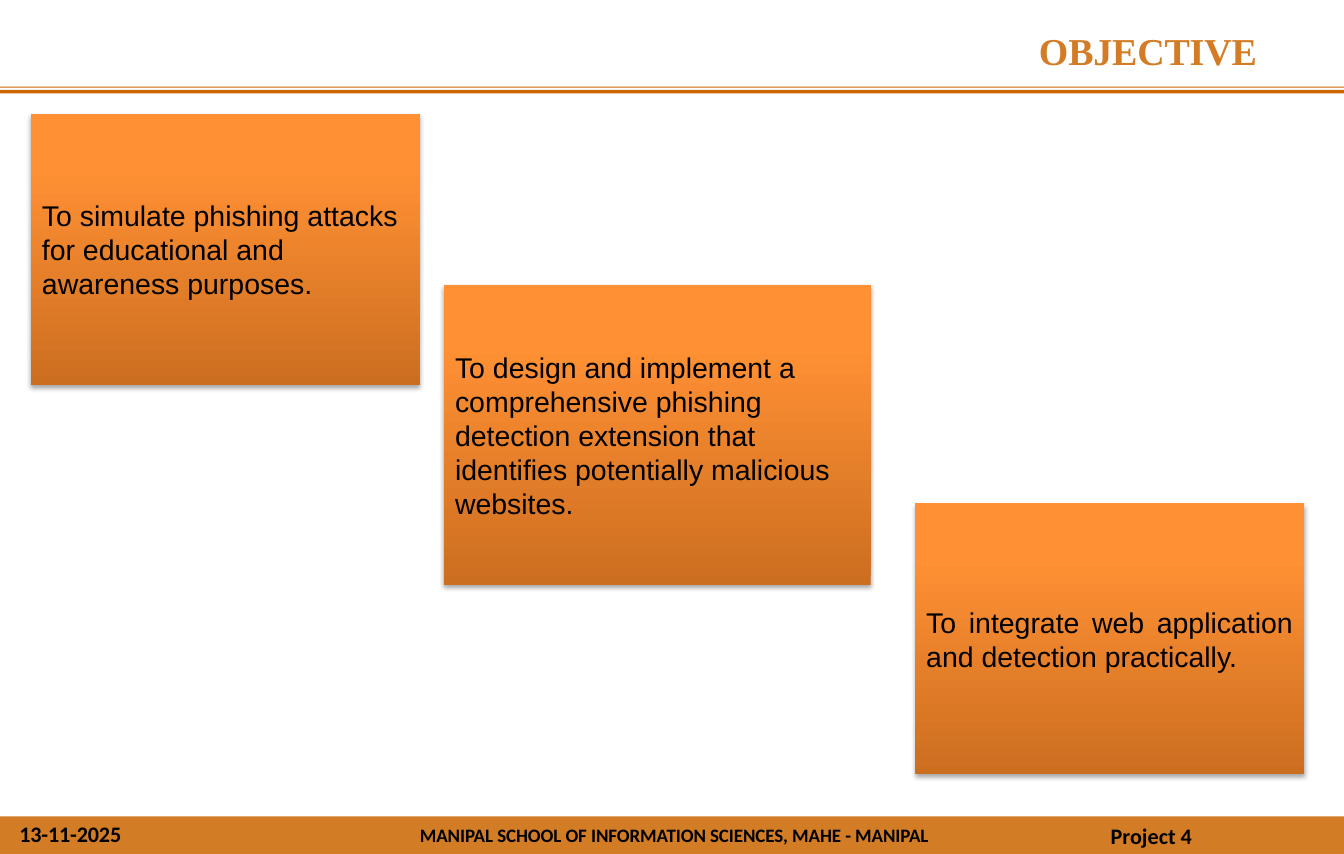
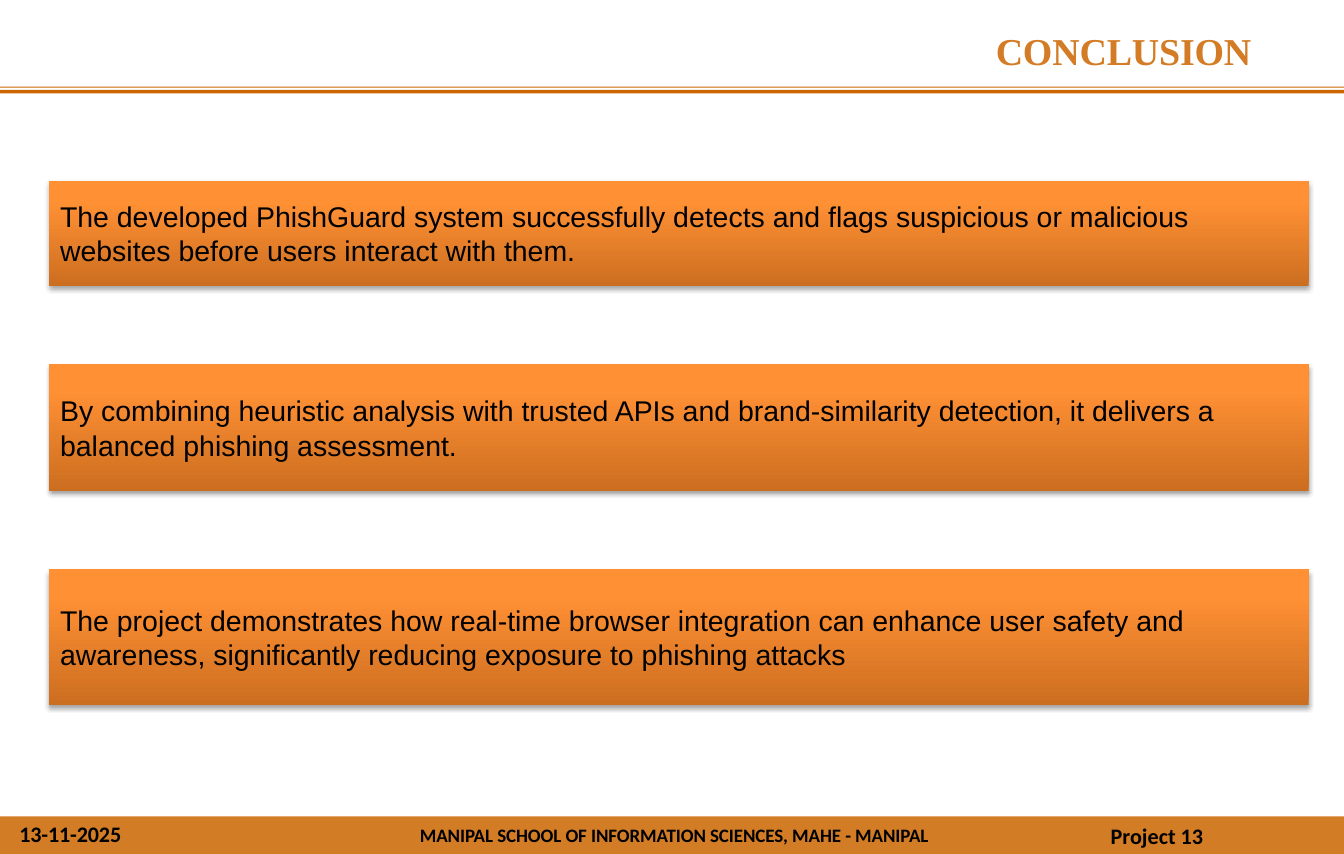
from dataclasses import dataclass

from lxml import etree
from pptx import Presentation
from pptx.dml.color import RGBColor
from pptx.enum.shapes import MSO_SHAPE
from pptx.enum.text import MSO_ANCHOR, PP_ALIGN
from pptx.oxml.ns import qn
from pptx.shapes.autoshape import Shape
from pptx.slide import Slide
from pptx.util import Inches, Pt

RECT = MSO_SHAPE.RECTANGLE
TOP, MIDDLE = MSO_ANCHOR.TOP, MSO_ANCHOR.MIDDLE
LEFT, JUSTIFY = PP_ALIGN.LEFT, PP_ALIGN.JUSTIFY

RUST = RGBColor(0xCC, 0x66, 0x00)
TITLE = RGBColor(0xD3, 0x7C, 0x25)
BLACK = RGBColor(0x00, 0x00, 0x00)
DARK = RGBColor(0xCC, 0x6E, 0x20)
LIGHT = RGBColor(0xFF, 0x90, 0x34)

WIDTH, HEIGHT = 11.81, 7.5
BAND_TOP = 7.17
TITLE_END, TITLE_INDENT = 11.17, 3.1
ROW_LEFT, ROW_WIDTH, ROW_TOP, ROW_GAP = 0.43, 11.07, 1.59, 0.69


@dataclass(frozen=True)
class Box:
    left: float
    top: float
    width: float
    height: float

    def place(self) -> tuple:
        return tuple(Inches(n) for n in (self.left, self.top, self.width, self.height))


@dataclass(frozen=True)
class Card:
    text: str
    box: Box
    align: PP_ALIGN = LEFT


@dataclass(frozen=True)
class Page:
    title: str
    title_left: float
    number: int
    cards: list[Card]


def write(shape: Shape, text: str, *, size: float, font: str, color: RGBColor = BLACK,
          bold: bool = False, align: PP_ALIGN = LEFT, anchor: MSO_ANCHOR = TOP,
          inset: tuple = (0.01, 0, 0, 0), leading: float | None = None,
          tracking: int = 0) -> None:
    """Fill a shape with one paragraph; tracking is in hundredths of a point."""
    frame = shape.text_frame
    frame.word_wrap = True
    frame.vertical_anchor = anchor
    (frame.margin_left, frame.margin_top,
     frame.margin_right, frame.margin_bottom) = (Inches(n) for n in inset)
    para = frame.paragraphs[0]
    para.alignment = align
    if leading:
        para.line_spacing = Pt(leading)
    run = para.add_run()
    run.text = text
    run.font.size = Pt(size)
    run.font.name = font
    run.font.bold = bold
    run.font.color.rgb = color
    if tracking:
        run.font._element.set("spc", str(tracking))


def label(slide: Slide, box: Box, text: str, **style) -> None:
    write(slide.shapes.add_textbox(*box.place()), text, **style)


def bar(slide: Slide, top: float, height: float, opacity: int = 100) -> None:
    """Draw a full-width band in the theme rust; opacity is in percent."""
    shape = slide.shapes.add_shape(RECT, *Box(0, top, WIDTH, height).place())
    shape.shadow.inherit = False
    shape.line.fill.background()
    shape.fill.solid()
    shape.fill.fore_color.rgb = RUST
    if opacity < 100:
        color = shape._element.spPr.find(".//" + qn("a:srgbClr"))
        etree.SubElement(color, qn("a:alpha"), val=str(opacity * 1000))


def shade(shape: Shape) -> None:
    """Add a soft shadow just below the shape."""
    shape.shadow.inherit = False
    effects = shape._element.spPr.find(qn("a:effectLst"))
    outer = etree.SubElement(effects, qn("a:outerShdw"), blurRad=str(Pt(3.1)),
                             dist=str(Pt(1.8)), dir="5400000", rotWithShape="0")
    color = etree.SubElement(outer, qn("a:srgbClr"), val=str(BLACK))
    etree.SubElement(color, qn("a:alpha"), val="35000")


def draw_card(slide: Slide, card: Card) -> None:
    shape = slide.shapes.add_shape(RECT, *card.box.place())
    shape.line.fill.background()
    shape.fill.gradient()
    shape.fill.gradient_angle = 90
    for stop, color, place in zip(shape.fill.gradient_stops, (DARK, LIGHT), (0, 0.8)):
        stop.color.rgb = color
        stop.position = place
    shade(shape)
    write(shape, card.text, size=18, font="Arial", align=card.align,
          anchor=MIDDLE, inset=(0.1, 0.05, 0.1, 0.05))


def draw_frame(slide: Slide, page: Page) -> None:
    """Draw the rules, title and footer that every slide has."""
    bar(slide, 0.76, 0.01)
    bar(slide, 0.79, 0.03)
    bar(slide, BAND_TOP, HEIGHT - BAND_TOP, opacity=85)
    label(slide, Box(page.title_left, 0.22, TITLE_END - page.title_left, 0.44),
          page.title, size=24, font="Times New Roman", color=TITLE, bold=True,
          inset=(TITLE_INDENT, 0.02, 0, 0), tracking=-10)
    foot = {"font": "Calibri", "bold": True}
    label(slide, Box(0.16, 7.24, 0.95, 0.21), "13-11-2025",
          size=14, leading=14.5, tracking=-10, **foot)
    label(slide, Box(9.75, 7.25, 0.86, 0.23), f"Project {page.number}",
          size=14, leading=14.5, **foot)
    label(slide, Box(3.68, 7.26, 4.56, 0.2),
          "MANIPAL SCHOOL OF INFORMATION SCIENCES, MAHE - MANIPAL",
          size=12, leading=12.4, tracking=-6, **foot)


def stack(rows: list[tuple[str, float]]) -> list[Card]:
    """Lay full-width cards below each other with equal gaps."""
    cards, top = [], ROW_TOP
    for text, height in rows:
        cards.append(Card(text, Box(ROW_LEFT, top, ROW_WIDTH, height)))
        top += height + ROW_GAP
    return cards


GOALS = [
    Card("To simulate phishing attacks for educational and awareness purposes.",
         Box(0.27, 1, 3.42, 2.38)),
    Card("To design and implement a comprehensive phishing detection extension "
         "that identifies potentially malicious websites.",
         Box(3.9, 2.5, 3.75, 2.64)),
    Card("To integrate web application and detection practically.",
         Box(8.04, 4.42, 3.42, 2.38), JUSTIFY),
]

RESULTS = stack([
    ("The developed PhishGuard system successfully detects and flags suspicious "
     "or malicious websites before users interact with them.", 0.92),
    ("By combining heuristic analysis with trusted APIs and brand-similarity "
     "detection, it delivers a balanced phishing assessment.", 1.11),
    ("The project demonstrates how real-time browser integration can enhance "
     "user safety and awareness, significantly reducing exposure to phishing "
     "attacks", 1.19),
])

PAGES = [
    Page("OBJECTIVE", 6.03, 4, GOALS),
    Page("CONCLUSION", 5.65, 13, RESULTS),
]


def main() -> None:
    deck = Presentation()
    deck.slide_width, deck.slide_height = Inches(WIDTH), Inches(HEIGHT)
    blank = deck.slide_layouts[6]
    for page in PAGES:
        slide = deck.slides.add_slide(blank)
        draw_frame(slide, page)
        for card in page.cards:
            draw_card(slide, card)
    deck.save("out.pptx")


if __name__ == "__main__":
    main()
